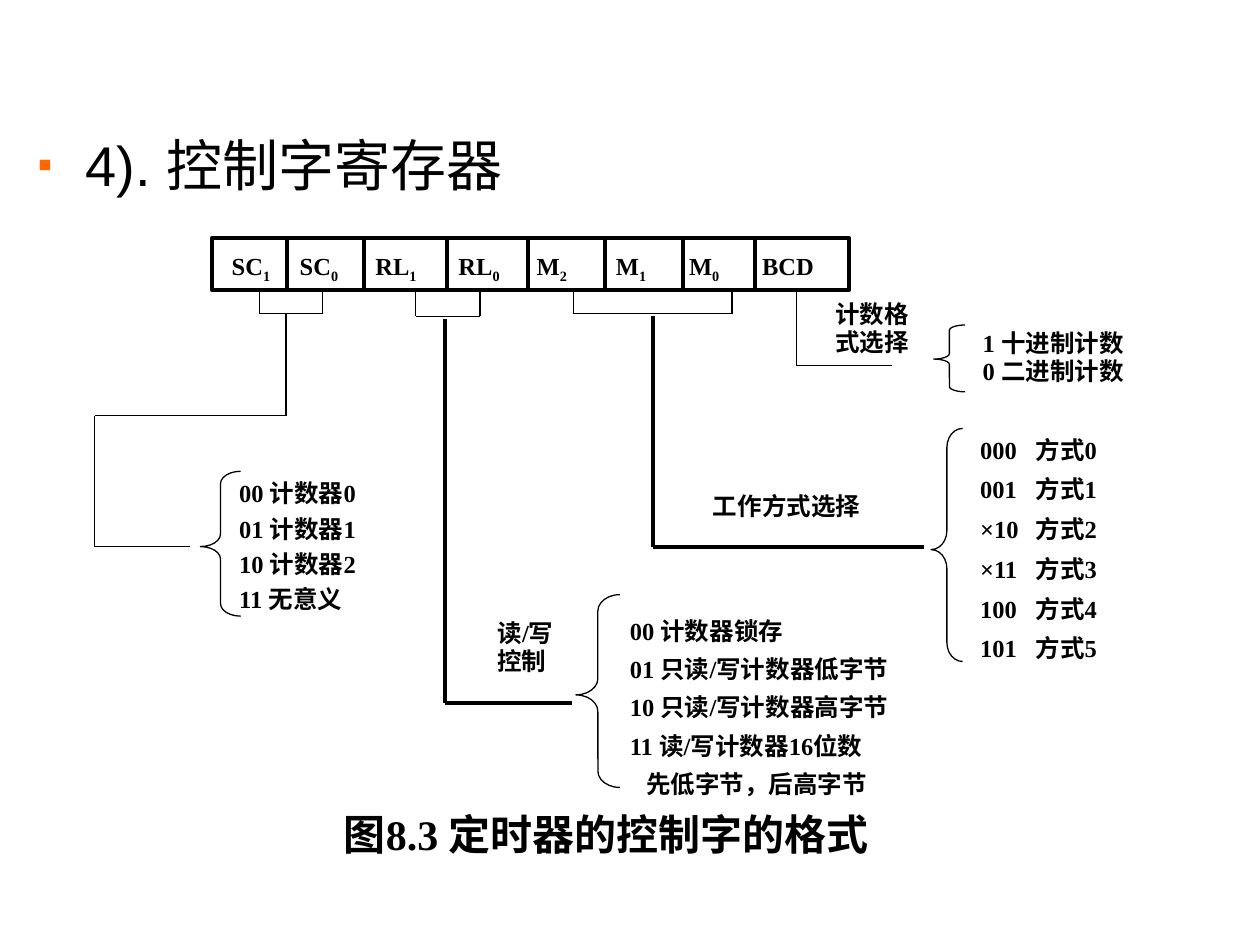
import pptx
import pptx.dml.color
import pptx.enum.shapes
import pptx.enum.text
import pptx.oxml.ns
import pptx.util
from lxml import etree
from pptx.util import Inches

COLORS = {"ink": "000000", "bullet": "FF6600"}
THIN, THICK = 0.75, 2.25

REGISTER = {"left": 1.68, "top": 1.89, "width": 5.06, "height": 0.41}
REGISTER_BOTTOM = REGISTER["top"] + REGISTER["height"]
DIVIDERS = [2.28, 2.89, 3.55, 4.19, 4.8, 5.42, 5.99]
BITS = [("SC", "1"), ("SC", "0"), ("RL", "1"), ("RL", "0"),
        ("M", "2"), ("M", "1"), ("M", "0"), ("BCD", "")]
BIT_TABS = [0.54, 1.14, 1.8, 2.42, 3.05, 3.63, 4.21]

# left, right and depth of the bracket under each group of bits
BRACKETS = [(2.06, 2.56, 2.49), (3.3, 3.81, 2.51), (4.55, 5.81, 2.49)]
# line weight and corners of the path from each group to its explanation
PATHS = [
    (THIN, [(2.27, 2.49), (2.27, 3.3), (0.75, 3.3), (0.75, 4.34), (1.51, 4.34)]),
    (THICK, [(3.53, 2.53), (3.53, 5.58), (4.54, 5.58)]),
    (THICK, [(5.18, 2.51), (5.18, 4.34), (7.33, 4.34)]),
    (THIN, [(6.32, REGISTER_BOTTOM), (6.32, 2.9), (7.08, 2.9)]),
]
# left, top, width, height, curve, position of the point
BRACES = [
    (1.59, 3.74, 0.32, 1.15, 0.31, 0.52),
    (4.57, 4.72, 0.35, 1.53, 0.37, 0.52),
    (7.39, 3.4, 0.25, 1.85, 0.6, 0.52),
    (7.41, 2.58, 0.25, 0.53, 0.17, 0.51),
]
# left, top, width, height, line spacing, lines
NOTES = [
    (1.8, 3.7, 2.95, 1.55, 1.2, ["00 计数器0", "01 计数器1", "10 计数器2", "11 无意义"]),
    (3.85, 4.87, 1.1, 0.6, 0.96, ["读/写", "控制"]),
    (5.56, 3.85, 2.02, 0.51, 1.0, ["工作方式选择"]),
    (7.68, 3.32, 2.95, 2.19, 1.35,
     ["000\t方式0", "001\t方式1", "×10\t方式2", "×11\t方式3", "100\t方式4", "101\t方式5"]),
    (6.53, 2.34, 1.29, 0.83, 0.96, ["计数格", "式选择"]),
    (7.7, 2.57, 2.28, 1.06, 0.96, ["1 十进制计数", "0 二进制计数"]),
]
LOCK_NOTE = (4.9, 4.77, 3.2, 2.06, 1.3,
             ["00 计数器锁存", "01 只读/写计数器低字节", "10 只读/写计数器高字节",
              "11 读/写计数器16位数", "先低字节，后高字节"])


def rgb(name):
    return pptx.dml.color.RGBColor.from_string(COLORS[name])


def add_child(parent, tag, **attributes):
    return etree.SubElement(parent, pptx.oxml.ns.qn(tag), attributes)


def set_tabs(para, stops):
    tab_list = add_child(para._p.get_or_add_pPr(), "a:tabLst")
    for stop in stops:
        add_child(tab_list, "a:tab", pos=str(Inches(stop)), algn="l")


def set_font(para, size, name="Times New Roman", bold=True):
    para.font.size = pptx.util.Pt(size)
    para.font.name = name
    para.font.bold = bold
    para.font.color.rgb = rgb("ink")


def add_box(page, left, top, width, height):
    box = page.shapes.add_textbox(*map(Inches, (left, top, width, height)))
    box.text_frame.word_wrap = True
    return box.text_frame


def add_lines(page, left, top, width, height, spacing, lines, size=14):
    frame = add_box(page, left, top, width, height)
    for index, line in enumerate(lines):
        para = frame.add_paragraph() if index else frame.paragraphs[0]
        para.text = line
        if "\t" in line:
            set_tabs(para, [0.44])
        para.alignment = pptx.enum.text.PP_ALIGN.JUSTIFY
        para.line_spacing = spacing
        set_font(para, size)
    return frame


def add_heading(page, text):
    para = add_box(page, 0.2, 0.99, 9.21, 6.14).paragraphs[0]
    para.text = text
    properties = para._p.get_or_add_pPr()
    properties.set("marL", str(Inches(0.38)))
    properties.set("indent", str(Inches(-0.38)))
    add_child(add_child(properties, "a:buClr"), "a:srgbClr", val=COLORS["bullet"])
    add_child(properties, "a:buSzPct", val="75000")
    add_child(properties, "a:buFont", typeface="Arial")
    add_child(properties, "a:buChar", char="▪")
    set_font(para, 32, "Arial", bold=False)


def add_path(page, weight, points):
    """Join consecutive points with straight lines."""
    for start, end in zip(points, points[1:]):
        line = page.shapes.add_connector(
            pptx.enum.shapes.MSO_CONNECTOR.STRAIGHT, *map(Inches, start + end))
        line.line.color.rgb = rgb("ink")
        line.line.width = pptx.util.Pt(weight)
        add_child(line._element.spPr, "a:effectLst")


def add_outline(page, kind, left, top, width, height, weight):
    shape = page.shapes.add_shape(kind, *map(Inches, (left, top, width, height)))
    shape.shadow.inherit = False
    shape.fill.background()
    shape.line.color.rgb = rgb("ink")
    shape.line.width = pptx.util.Pt(weight)
    return shape


def add_brace(page, left, top, width, height, curve, point):
    brace = add_outline(page, pptx.enum.shapes.MSO_SHAPE.LEFT_BRACE,
                        left, top, width, height, THIN)
    brace.adjustments[0] = curve
    brace.adjustments[1] = point


def add_register(page):
    add_outline(page, pptx.enum.shapes.MSO_SHAPE.RECTANGLE, **REGISTER, weight=THICK)
    for x in DIVIDERS:
        add_path(page, THICK, [(x, REGISTER["top"]), (x, REGISTER_BOTTOM)])
    para = add_box(page, 1.74, 1.94, 5.55, 0.62).paragraphs[0]
    set_tabs(para, BIT_TABS)
    set_font(para, 14)
    for index, (name, number) in enumerate(BITS):
        para.add_run().text = "\t" + name if index else name
        if number:
            span = para.add_run()
            span.text = number
            span._r.get_or_add_rPr().set("baseline", "-25000")


def main():
    deck = pptx.Presentation()
    deck.slide_width, deck.slide_height = Inches(10), Inches(7.5)
    page = deck.slides.add_slide(deck.slide_layouts[6])

    add_heading(page, "4). 控制字寄存器")
    add_lines(page, 2.63, 6.37, 4.65, 0.69, 1.0, ["图8.3 定时器的控制字的格式"], size=24)
    add_register(page)
    for left, right, depth in BRACKETS:
        add_path(page, THIN, [(left, REGISTER_BOTTOM), (left, depth),
                              (right, depth), (right, REGISTER_BOTTOM)])
    for weight, points in PATHS:
        add_path(page, weight, points)
    for brace in BRACES:
        add_brace(page, *brace)
    for note in NOTES:
        add_lines(page, *note)
    continuation = add_lines(page, *LOCK_NOTE).paragraphs[-1]
    continuation._p.get_or_add_pPr().set("marL", str(Inches(0.13)))

    deck.save("out.pptx")


if __name__ == "__main__":
    main()
